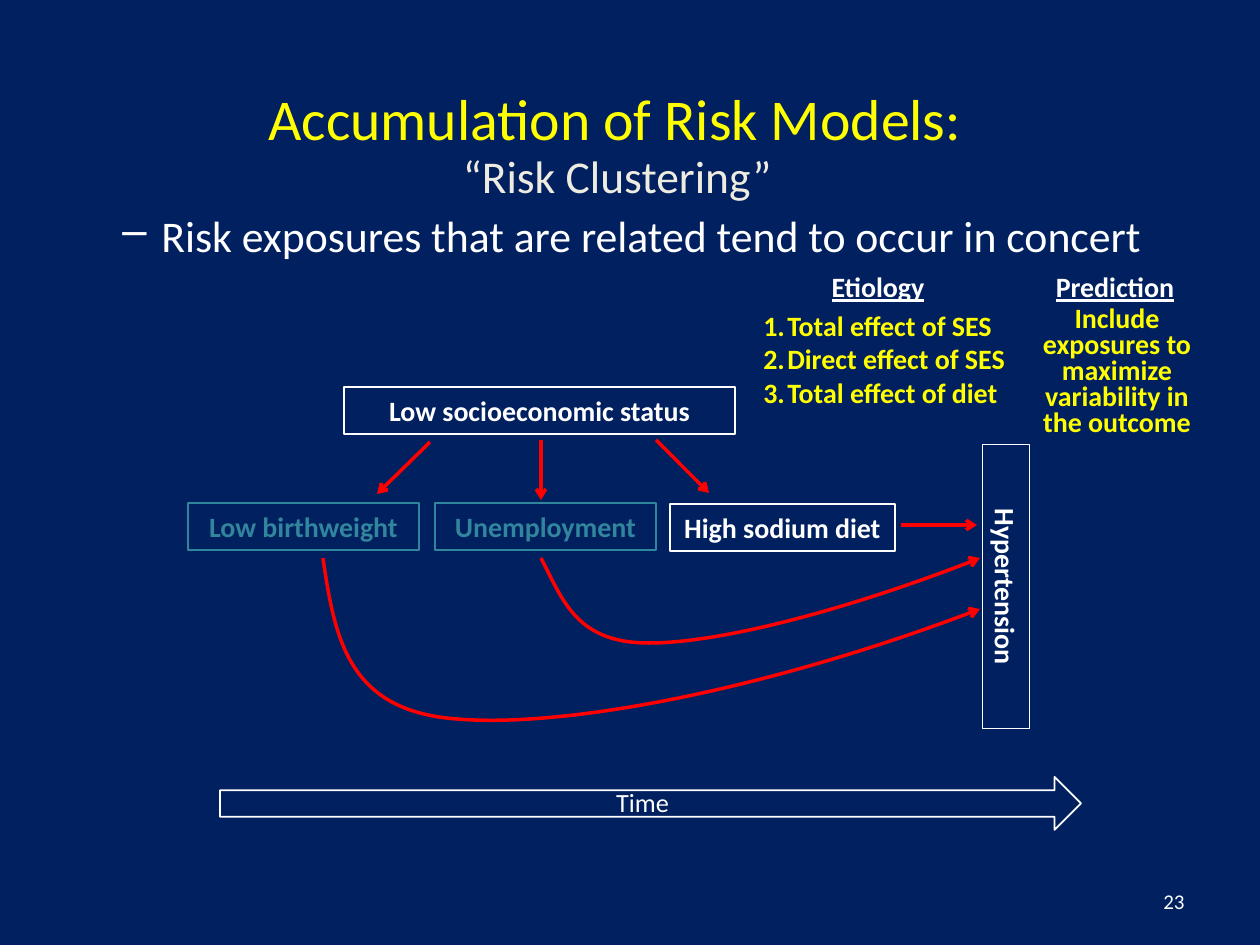
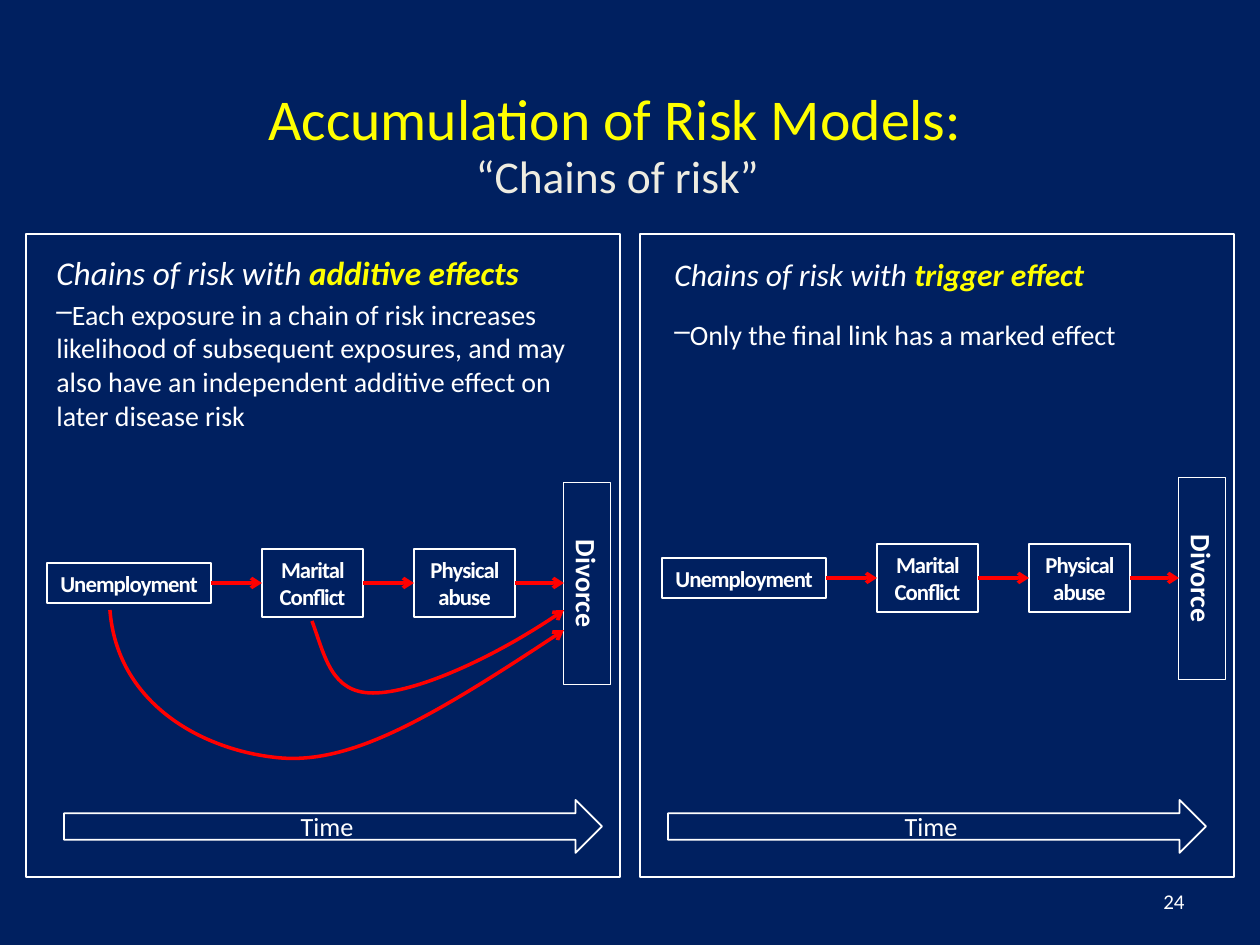
from lxml.etree import SubElement
from pptx import Presentation
from pptx.dml.color import RGBColor
from pptx.enum.shapes import MSO_CONNECTOR, MSO_SHAPE
from pptx.enum.text import MSO_ANCHOR, PP_ALIGN
from pptx.oxml.ns import qn
from pptx.util import Emu, Pt

SCALE = 914400 / 126
FONT = "Calibri"
NAVY = RGBColor(0x00, 0x20, 0x60)
WHITE = RGBColor(0xFF, 0xFF, 0xFF)
CREAM = RGBColor(0xEE, 0xEC, 0xE1)
YELLOW = RGBColor(0xFF, 0xFF, 0x00)
TEAL = RGBColor(0x31, 0x85, 0x9C)
RED = RGBColor(0xFF, 0x00, 0x00)
CENTER, RIGHT = PP_ALIGN.CENTER, PP_ALIGN.RIGHT
TOP, MIDDLE = MSO_ANCHOR.TOP, MSO_ANCHOR.MIDDLE


def px(*sizes):
    return [Emu(round(size * SCALE)) for size in sizes]


def write(frame, text, size=16, color=WHITE, bold=False, italic=False,
          under=False, align=None, left=0, hang=0, bullet=None, number=False,
          before=0, spacing=None, track=0, hot=""):
    para = frame.paragraphs[0] if not frame.text else frame.add_paragraph()
    para.alignment = align
    para.space_before = Pt(before)
    para.line_spacing = spacing
    props = para._p.get_or_add_pPr()
    margin, indent = px(left, -hang)
    props.set("marL", str(margin))
    props.set("indent", str(indent))
    if bullet:
        SubElement(props, qn("a:buChar"), char=bullet)
    elif number:
        SubElement(props, qn("a:buAutoNum"), type="arabicPeriod")
    for words, tint, heavy in ((text, color, bold), (hot, YELLOW, True)):
        if not words:
            continue
        run = para.add_run()
        run.text = words
        font = run.font
        font.name, font.size, font.bold = FONT, Pt(size), heavy
        font.italic, font.underline = italic, under
        font.color.rgb = tint
        if track:
            run._r.get_or_add_rPr().set("spc", str(track))


def add_text(shapes, area, text=None, anchor=TOP, **style):
    frame = shapes.add_textbox(*px(*area)).text_frame
    frame.word_wrap = True
    frame.vertical_anchor = anchor
    if text:
        write(frame, text, **style)
    return frame


def add_box(shapes, area, text=None, kind=MSO_SHAPE.RECTANGLE, color=WHITE,
            width=0.75, turn=0, **style):
    box = shapes.add_shape(kind, *px(*area))
    box.shadow.inherit = False
    box.fill.background()
    box.line.color.rgb = color
    box.line.width = Pt(width)
    box.rotation = turn
    if text:
        frame = box.text_frame
        frame.word_wrap = True
        frame.vertical_anchor = MIDDLE
        frame.margin_left = frame.margin_right = 0
        frame.margin_top = frame.margin_bottom = 0
        write(frame, text, color=color, bold=True, align=CENTER, **style)
    return box


def add_head(shape):
    shape.line.color.rgb = RED
    shape.line.width = Pt(2)
    line = shape.element.find(".//" + qn("a:ln"))
    SubElement(line, qn("a:tailEnd"), type="arrow")


def add_arrow(shapes, start, end, source=None, target=None, site=1):
    arrow = shapes.add_connector(MSO_CONNECTOR.STRAIGHT, *px(*start, *end))
    add_head(arrow)
    SubElement(arrow.element.spPr, qn("a:effectLst"))
    if source:
        arrow.begin_connect(source, 3)
        arrow.end_connect(target, site)
        arrow.begin_x, arrow.begin_y = px(*start)
        arrow.end_x, arrow.end_y = px(*end)


def add_curve(shapes, start, *points):
    pen = shapes.build_freeform(*start, scale=SCALE)
    pen.add_line_segments(points, close=False)
    curve = pen.convert_to_shape()
    curve.shadow.inherit = False
    curve.fill.background()
    add_head(curve)
    steps = list(curve.element.iter(qn("a:lnTo")))
    for first, second, third in zip(steps[::3], steps[1::3], steps[2::3]):
        first.tag = qn("a:cubicBezTo")
        for step in (second, third):
            first.append(step[0])
            step.getparent().remove(step)


def add_time(shapes, arrow, label):
    group = shapes.add_group_shape().shapes
    add_box(group, arrow, kind=MSO_SHAPE.RIGHT_ARROW, width=1)
    add_text(group, label, "Time", size=15, align=CENTER)


def add_chain(shapes, x, mid):
    labels = (("Unemployment", 0, 164, 40), ("Marital Conflict", 215, 101, 68),
              ("Physical abuse", 367, 101, 68))
    boxes = [add_box(shapes, (x + left, mid - high / 2, wide, high), text,
                     size=13, track=-50)
             for text, left, wide, high in labels]
    boxes.append(add_box(shapes, (x + 439, mid - 23, 202, 47), "Divorce",
                         turn=90))
    ends = (215, 367, 517)
    for spot, (_, left, wide, _) in enumerate(labels):
        add_arrow(shapes, (x + left + wide, mid), (x + ends[spot], mid),
                  boxes[spot], boxes[spot + 1], 2 if spot == 2 else 1)


def add_slide(deck, topic, number):
    slide = deck.slides.add_slide(deck.slide_layouts[5])
    title = slide.shapes.title
    title.left, title.top, title.width, title.height = px(48, 38, 1134, 158)
    title.text_frame.vertical_anchor = MIDDLE
    write(title.text_frame, "Accumulation of Risk Models:", size=33,
          color=YELLOW, align=CENTER)
    add_text(slide.shapes, (203, 142, 829, 68), topic, size=26, color=CREAM,
             align=CENTER)
    add_text(slide.shapes, (903, 876, 294, 50), number, MIDDLE, size=12,
             align=RIGHT)
    return slide.shapes


def add_cluster(deck):
    shapes = add_slide(deck, "“Risk Clustering”", "23")
    add_text(shapes, (47, 203, 1134, 70),
             "Risk exposures that are related tend to occur in concert",
             size=25, left=102, hang=39, bullet="–")
    for text, left in (("Etiology", 766), ("Prediction", 1003)):
        add_text(shapes, (left, 263, 224, 47), text, bold=True, under=True,
                 align=CENTER)
    aims = add_text(shapes, (727, 302, 528, 140))
    for aim in ("Total effect of SES", "Direct effect of SES",
                "Total effect of diet"):
        write(aims, aim, color=YELLOW, bold=True, left=48, hang=24,
              number=True)
    add_text(shapes, (994, 301, 223, 140),
             "Include exposures to maximize variability in the outcome",
             color=YELLOW, bold=True, align=CENTER, left=23, spacing=0.78)

    add_box(shapes, (344, 387, 391, 47), "Low socioeconomic status")
    add_box(shapes, (188, 503, 231, 47), "Low birthweight", color=TEAL)
    add_box(shapes, (435, 503, 221, 47), "Unemployment", color=TEAL)
    add_box(shapes, (670, 504, 225, 47), "High sodium diet")
    add_box(shapes, (864, 563, 284, 47), "Hypertension", turn=90)
    for start, end in (((430, 442), (377, 494)), ((541, 440), (541, 500)),
                       ((656, 440), (709, 493)), ((901, 525), (977, 525))):
        add_arrow(shapes, start, end)
    add_curve(shapes, (323, 558), (335, 639), (348, 711), (457, 719),
              (567, 728), (774, 688), (980, 609))
    add_curve(shapes, (541, 558), (563, 600), (576, 643), (649, 643),
              (722, 643), (856, 607), (980, 558))
    add_time(shapes, (220, 777, 861, 53), (546, 780, 193, 44))


def add_chains(deck):
    shapes = add_slide(deck, "“Chains of risk”", "24")
    panels = (
        (20, 246, 19, "additive effects", 3,
         "Each exposure in a chain of risk increases likelihood of subsequent "
         "exposures, and may also have an independent additive effect on "
         "later disease risk"),
        (638, 249, 18, "trigger effect", 14,
         "Only the final link has a marked effect"))
    for side, (left, top, size, hot, gap, text) in enumerate(panels):
        add_box(shapes, (26 + 614 * side, 234, 594, 643), width=1)
        frame = add_text(shapes, (left, top, 563, 210), "Chains of risk with ",
                         size=size, italic=True, left=24, hot=hot)
        write(frame, text, left=24, bullet="–", before=gap)
        add_chain(shapes, 47 + 615 * side, 583 - 5 * side)
        shift = 604 * side
        add_time(shapes, (64 + shift, 800, 538, 53),
                 (267 + shift, 804, 120, 44))
    add_curve(shapes, (110, 610), (117, 702), (199, 748), (272, 757),
              (345, 767), (427, 721), (564, 630))
    add_curve(shapes, (312, 621), (325, 656), (331, 693), (373, 693),
              (415, 693), (498, 656), (564, 610))


def main():
    deck = Presentation()
    deck.slide_width, deck.slide_height = px(1260, 945)
    fill = deck.slide_master.background.fill
    fill.solid()
    fill.fore_color.rgb = NAVY
    add_cluster(deck)
    add_chains(deck)
    deck.save("out.pptx")


if __name__ == "__main__":
    main()
